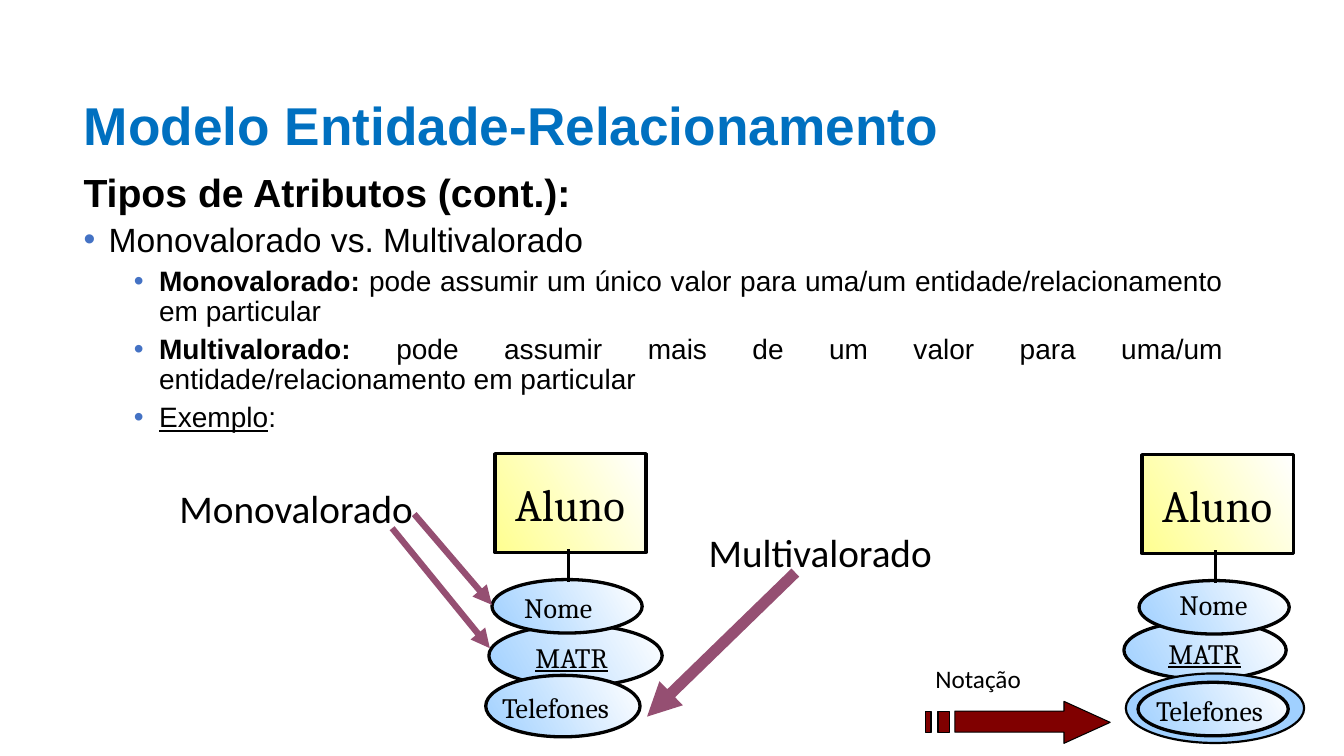
from dataclasses import dataclass
from typing import Optional

from lxml.etree import SubElement
from pptx import Presentation
from pptx.dml.color import RGBColor
from pptx.enum.shapes import MSO_CONNECTOR, MSO_SHAPE
from pptx.enum.text import MSO_ANCHOR, PP_ALIGN
from pptx.oxml.ns import qn
from pptx.util import Pt

TITLE_BLUE = RGBColor(0x00, 0x70, 0xC0)
BULLET_BLUE = RGBColor(0x44, 0x72, 0xC4)
SKY = RGBColor(0xA0, 0xD0, 0xFF)
YELLOW = RGBColor(0xFF, 0xFF, 0x90)
PLUM = RGBColor(0x95, 0x4F, 0x72)
MAROON = RGBColor(0x80, 0x00, 0x00)
BLACK = RGBColor(0x00, 0x00, 0x00)
WHITE = RGBColor(0xFF, 0xFF, 0xFF)


@dataclass
class Label:
    text: str
    x: float
    y: float
    w: float
    h: float
    size: float = 20
    font: str = "Cambria"
    underline: bool = False
    inset: float = 0


@dataclass
class Node:
    kind: MSO_SHAPE
    x: float
    y: float
    w: float
    h: float
    color: RGBColor = SKY
    label: Optional[Label] = None
    gradient: bool = True
    line: float = 2.36


@dataclass
class Line:
    x1: float
    y1: float
    x2: float
    y2: float
    width: float
    color: RGBColor = PLUM
    arrow: bool = True


@dataclass
class Item:
    runs: list[tuple[str, bool, bool]]
    size: float
    indent: Optional[float] = None


OVAL, RECT = MSO_SHAPE.OVAL, MSO_SHAPE.RECTANGLE

ITEMS = [
    Item([("Tipos de Atributos (cont.):", True, False)], 28),
    Item([("Monovalorado vs. Multivalorado", False, False)], 24, 18),
    Item([("Monovalorado: ", True, False),
          ("pode assumir um único valor para uma/um entidade/relacionamento em particular",
           False, False)], 20, 54),
    Item([("Multivalorado: ", True, False),
          ("pode assumir mais de um valor para uma/um entidade/relacionamento em particular",
           False, False)], 20, 54),
    Item([("Exemplo", False, True), (":", False, False)], 20, 54),
]

NODES = [
    Node(OVAL, 349.2, 446.4, 123.8, 43.9,
         label=Label("MATR", 362.2, 457.2, 92.2, 24.5, underline=True)),
    Node(OVAL, 347, 482.4, 110.2, 43.9,
         label=Label("Telefones", 358.6, 493.2, 90.7, 24.5)),
    Node(RECT, 353.5, 324, 108, 70.6, YELLOW,
         Label("Aluno", 367.9, 340.6, 124.6, 38.2, 32)),
    Node(OVAL, 351.4, 414, 107.3, 38.2,
         label=Label("Nome", 374.4, 421.9, 65.5, 23.8)),
    Node(OVAL, 802.8, 443.5, 115.9, 41.8,
         label=Label("MATR", 820.8, 454.3, 79.2, 24.5, underline=True)),
    Node(OVAL, 804.2, 481, 127.4, 49.7, gradient=False, line=1.57),
    Node(OVAL, 812.9, 487.4, 107.3, 38.2,
         label=Label("Telefones", 825.8, 495.4, 93.6, 24.5)),
    Node(RECT, 815.8, 324.7, 108, 70.6, YELLOW,
         Label("Aluno", 830.2, 341.3, 100.8, 38.2, 32)),
    Node(OVAL, 813.6, 414.7, 107.3, 38.2,
         label=Label("Nome", 842.4, 419.8, 65.5, 23.8)),
]

CAPTIONS = [
    Label("Multivalorado", 506.2, 377.3, 211.7, 33.8, 28, "Calibri"),
    Label("Notação", 661, 470.2, 100.8, 36, 18, "Calibri", inset=7.2),
    Label("Monovalorado", 128.2, 345.6, 170.6, 33.8, 28, "Calibri"),
]

LINES = [
    Line(406.1, 415.4, 406.1, 392.4, 2, BLACK, False),
    Line(868.3, 416.2, 868.3, 393.1, 2, BLACK, False),
    Line(568.1, 409, 462.2, 511.9, 8),
    Line(280.1, 377.3, 349.9, 463, 4.5),
    Line(295.9, 367.2, 351.4, 432, 4.5),
]

NOTATION_ARROW = [
    [(760.3, 501.1), (760.3, 508.3), (681.8, 508.3), (681.8, 523.4),
     (760.3, 523.4), (760.3, 530.6), (793.4, 515.5)],
    [(669.6, 508.3), (669.6, 523.4), (677.5, 523.4), (677.5, 508.3)],
    [(661, 508.3), (661, 523.4), (665.3, 523.4), (665.3, 508.3)],
]


def add_label(slide, label: Label) -> None:
    sp = slide.shapes.add_textbox(Pt(label.x), Pt(label.y), Pt(label.w), Pt(label.h))
    tf = sp.text_frame
    tf.word_wrap = True
    tf.margin_left = tf.margin_right = Pt(label.inset)
    tf.margin_top = tf.margin_bottom = Pt(label.inset / 2)
    tf.text = label.text
    p = tf.paragraphs[0]
    p.alignment = PP_ALIGN.CENTER if label.underline else PP_ALIGN.LEFT
    font = p.runs[0].font
    font.name, font.size, font.underline = label.font, Pt(label.size), label.underline
    font.color.rgb = BLACK


def add_node(slide, node: Node) -> None:
    sp = slide.shapes.add_shape(node.kind, Pt(node.x), Pt(node.y), Pt(node.w), Pt(node.h))
    sp.shadow.inherit = False
    sp.line.color.rgb = BLACK
    sp.line.width = Pt(node.line)
    if node.gradient:
        sp.fill.gradient()
        sp.fill.gradient_angle = 30
        for stop, color, position in zip(sp.fill.gradient_stops, (node.color, WHITE), (0, 1)):
            stop.color.rgb = color
            stop.position = position
    else:
        sp.fill.solid()
        sp.fill.fore_color.rgb = node.color
    if node.label:
        add_label(slide, node.label)


def add_line(slide, line: Line) -> None:
    sp = slide.shapes.add_connector(MSO_CONNECTOR.STRAIGHT, Pt(line.x1), Pt(line.y1),
                                    Pt(line.x2), Pt(line.y2))
    sp.line.color.rgb = line.color
    sp.line.width = Pt(line.width)
    if line.arrow:
        SubElement(sp.line._get_or_add_ln(), qn("a:tailEnd"), type="triangle")
    SubElement(sp._element.spPr, qn("a:effectLst"))


def add_item(p, item: Item) -> None:
    if item.indent:
        p.alignment = PP_ALIGN.JUSTIFY
        p.line_spacing = 0.9
        p.space_before = Pt(5.5)
        pPr = p._p.get_or_add_pPr()
        pPr.set("marL", str(Pt(item.indent)))
        pPr.set("indent", str(-Pt(18)))
        color = SubElement(pPr, qn("a:buClr"))
        SubElement(color, qn("a:srgbClr"), val=str(BULLET_BLUE))
        SubElement(pPr, qn("a:buFont"), typeface="Arial")
        SubElement(pPr, qn("a:buChar"), char="•")
    for text, bold, underline in item.runs:
        r = p.add_run()
        r.text = text
        r.font.name, r.font.size = "Arial", Pt(item.size)
        r.font.bold, r.font.underline = bold, underline
        r.font.color.rgb = BLACK


def add_notation_arrow(slide) -> None:
    first, *stripes = NOTATION_ARROW
    builder = slide.shapes.build_freeform(*first[0], scale=Pt(1))
    builder.add_line_segments(first[1:])
    for stripe in stripes:
        builder.move_to(*stripe[0])
        builder.add_line_segments(stripe[1:])
    sp = builder.convert_to_shape()
    sp.shadow.inherit = False
    sp.fill.solid()
    sp.fill.fore_color.rgb = MAROON
    sp.line.color.rgb = BLACK
    sp.line.width = Pt(0.75)


prs = Presentation()
prs.slide_width, prs.slide_height = Pt(960), Pt(540)
slide = prs.slides.add_slide(prs.slide_layouts[5])

title = slide.shapes.title
title.left, title.top, title.width, title.height = Pt(52.6), Pt(62.4), Pt(828), Pt(52)
tf = title.text_frame
tf.text = "Modelo Entidade-Relacionamento"
tf.vertical_anchor = MSO_ANCHOR.TOP
p = tf.paragraphs[0]
p.alignment = PP_ALIGN.LEFT
font = p.runs[0].font
font.name, font.size, font.bold = "Arial", Pt(38), True
font.color.rgb = TITLE_BLUE

tf = slide.shapes.add_textbox(Pt(52.6), Pt(116.8), Pt(828), Pt(200)).text_frame
tf.word_wrap = True
for i, item in enumerate(ITEMS):
    add_item(tf.add_paragraph() if i else tf.paragraphs[0], item)

for node in NODES:
    add_node(slide, node)
for caption in CAPTIONS:
    add_label(slide, caption)
for line in LINES:
    add_line(slide, line)
add_notation_arrow(slide)

prs.save("out.pptx")
